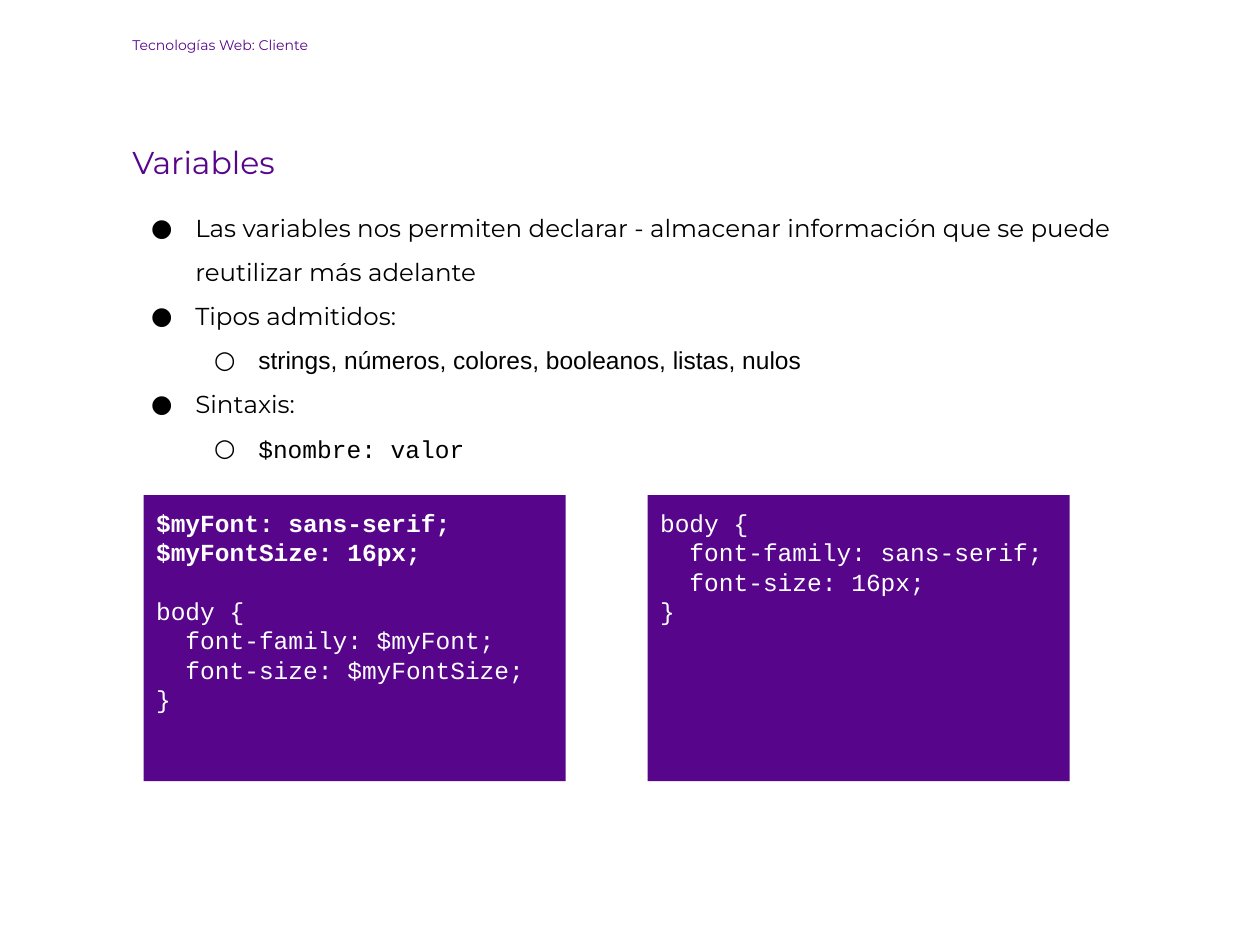
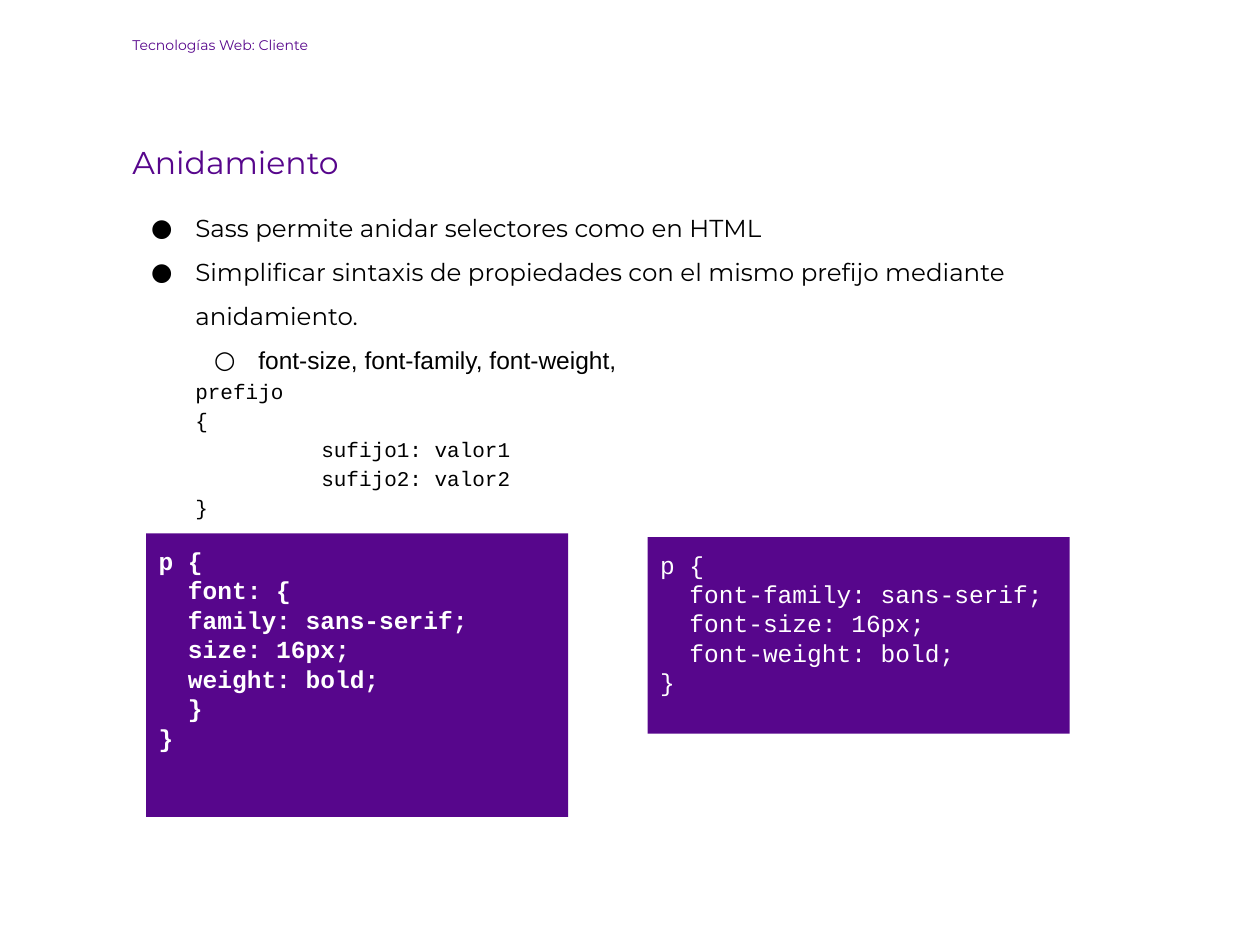
from pptx import Presentation
from pptx import util as u
from pptx.dml import color
from pptx.enum import shapes, text
from lxml import etree

Pt, RGB = u.Pt, color.RGBColor.from_string
NS = "http://schemas.openxmlformats.org/drawingml/2006/main"

# Theme: colours, fonts, sizes and the format of each kind of line
theme = {
    "main": "57068C", "ink": "000000", "paper": "FFFFFF",
    "sans": "Montserrat", "plain": "Arial", "mono": "Courier New",
    "inset": 7.2, "step": 16.8, "gap": 16.8,
}
base = {"font": "sans", "size": 14, "ink": "ink", "bold": False,
        "left": 0, "hang": 0, "line": 1.5, "before": 0, "mark": None, "level": 0}
item = base | {"left": 36, "hang": -25.2, "mark": "●"}
sub = item | {"left": 72, "mark": "○", "font": "plain", "level": 1}
pre = base | {"left": 36, "line": 1.15, "font": "mono", "size": 12}
code = base | {"line": 1, "font": "mono", "ink": "paper"}
kinds = {
    "header": base | {"size": 8, "ink": "main", "line": 1},
    "head": base | {"size": 18, "ink": "main", "line": 1.15},
    "first": item | {"before": 10},
    "item": item,
    "sub": sub,
    "subcode": sub | {"font": "mono"},
    "pre": pre,
    "prein": pre | {"left": 108},
    "code": code,
    "codein": code | {"left": theme["step"]},
    "block": code | {"before": theme["gap"]},
    "bold": code | {"bold": True},
    "boldin": code | {"bold": True, "left": theme["step"]},
}

# Slide content: body lines, then code panels as (place, lines)
header = "Tecnologías Web: Cliente"
deck = [
    {
        "body": [
            ("head", "Variables"),
            ("first", "Las variables nos permiten declarar - almacenar "
                      "información que se puede reutilizar más adelante"),
            ("item", "Tipos admitidos:"),
            ("sub", "strings, números, colores, booleanos, listas, nulos"),
            ("item", "Sintaxis:"),
            ("subcode", "$nombre: valor"),
        ],
        "panels": [
            ((82.1, 283, 241.2, 163.4), [
                ("bold", "$myFont: sans-serif;"),
                ("bold", "$myFontSize: 16px;"),
                ("block", "body {"),
                ("codein", "font-family: $myFont;"),
                ("codein", "font-size: $myFontSize;"),
                ("code", "}"),
            ]),
            ((370.1, 283, 241.2, 163.4), [
                ("code", "body {"),
                ("codein", "font-family: sans-serif;"),
                ("codein", "font-size: 16px;"),
                ("code", "}"),
            ]),
        ],
    },
    {
        "body": [
            ("head", "Anidamiento"),
            ("first", "Sass permite anidar selectores como en HTML"),
            ("item", "Simplificar sintaxis de propiedades con el mismo "
                     "prefijo mediante anidamiento."),
            ("sub", "font-size, font-family, font-weight,"),
            ("pre", "prefijo"),
            ("pre", "{"),
            ("prein", "sufijo1: valor1"),
            ("prein", "sufijo2: valor2"),
            ("pre", "}"),
        ],
        "panels": [
            ((83.5, 304.8, 241.2, 162), [
                ("bold", "p {"),
                ("boldin", "font: {"),
                ("boldin", "family: sans-serif;"),
                ("boldin", "size: 16px;"),
                ("boldin", "weight: bold;"),
                ("boldin", "}"),
                ("bold", "}"),
            ]),
            ((370.1, 306.9, 241.2, 112.3), [
                ("code", "p {"),
                ("codein", "font-family: sans-serif;"),
                ("codein", "font-size: 16px;"),
                ("codein", "font-weight: bold;"),
                ("code", "}"),
            ]),
        ],
    },
]


def place(shape, box):
    """Set the place and the text frame of a shape."""
    for name, val in zip(("left", "top", "width", "height"), box):
        setattr(shape, name, Pt(val))
    frame = shape.text_frame
    pad = Pt(theme["inset"])
    opts = {"word_wrap": True, "auto_size": text.MSO_AUTO_SIZE.NONE,
            "vertical_anchor": text.MSO_ANCHOR.TOP,
            "margin_left": pad, "margin_right": pad,
            "margin_top": pad, "margin_bottom": pad}
    for name, val in opts.items():
        setattr(frame, name, val)


def write(frame, lines):
    """Fill a text frame with (kind, words) lines."""
    for n, (kind, words) in enumerate(lines):
        fmt = kinds[kind]
        para = frame.add_paragraph() if n else frame.paragraphs[0]
        opts = {"alignment": text.PP_ALIGN.LEFT, "level": fmt["level"],
                "line_spacing": float(fmt["line"]),
                "space_before": Pt(fmt["before"]), "space_after": Pt(0)}
        for name, val in opts.items():
            setattr(para, name, val)
        run = para.add_run()
        run.text = words
        opts = {"name": theme[fmt["font"]], "size": Pt(fmt["size"]),
                "bold": fmt["bold"]}
        for name, val in opts.items():
            setattr(run.font, name, val)
        run.font.color.rgb = RGB(theme[fmt["ink"]])

        # Indent and bullet
        prop = para._p.get_or_add_pPr()
        prop.set("marL", str(Pt(fmt["left"])))
        prop.set("indent", str(Pt(fmt["hang"])))
        if fmt["mark"]:
            tint = etree.SubElement(prop, f"{{{NS}}}buClr")
            etree.SubElement(tint, f"{{{NS}}}srgbClr", val=theme["ink"])
            etree.SubElement(prop, f"{{{NS}}}buFont", typeface=theme["sans"])
            etree.SubElement(prop, f"{{{NS}}}buChar", char=fmt["mark"])
        else:
            etree.SubElement(prop, f"{{{NS}}}buNone")


prs = Presentation()
prs.slide_width, prs.slide_height = Pt(720), Pt(540)

for page in deck:
    slide = prs.slides.add_slide(prs.slide_layouts[1])

    # Header and list
    title, body = slide.shapes.title, slide.placeholders[1]
    place(title, (68.4, 13.7, 272.2, 28.1))
    write(title.text_frame, [("header", header)])
    place(body, (68.4, 71.3, 605.5, 203.8))
    write(body.text_frame, page["body"])

    # Code panels
    for box, lines in page["panels"]:
        panel = slide.shapes.add_shape(shapes.MSO_SHAPE.RECTANGLE, 0, 0, 0, 0)
        place(panel, box)
        panel.shadow.inherit = False
        panel.fill.solid()
        panel.fill.fore_color.rgb = RGB(theme["main"])
        panel.line.fill.background()
        write(panel.text_frame, lines)

prs.save("out.pptx")
